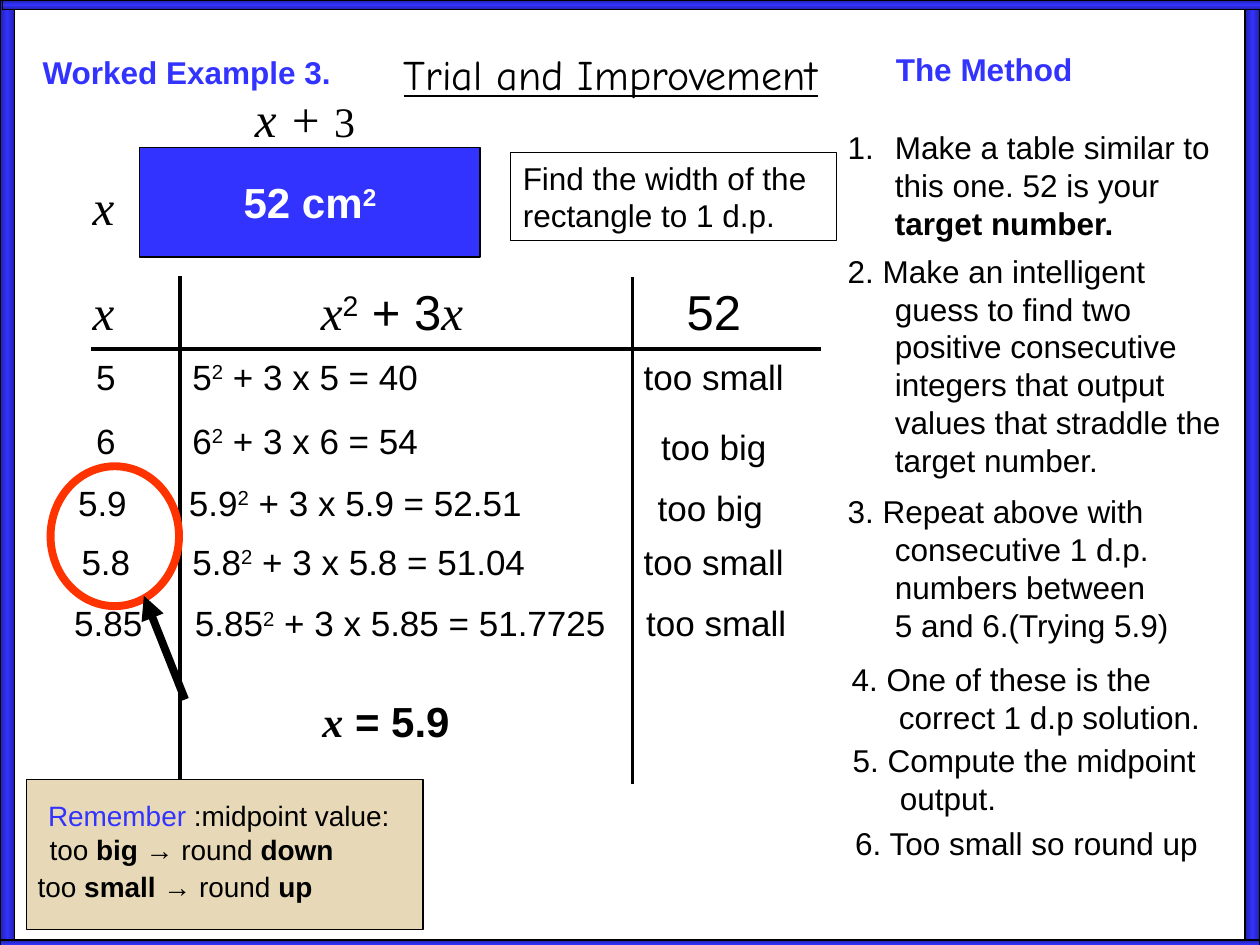
from copy import deepcopy
from pptx import Presentation
from pptx.dml.color import RGBColor
from pptx.enum import shapes, text
from pptx.oxml import ns, xmlchemy
from pptx.util import Cm, Pt

BLACK = RGBColor(0, 0, 0)
WHITE = RGBColor(255, 255, 255)
BLUE = RGBColor(0x33, 0x33, 0xFF)
DARK_BLUE = RGBColor(0x21, 0x21, 0xA8)
RED = RGBColor(0xFF, 0x33, 0x00)
SAND = RGBColor(0xE7, 0xD9, 0xB7)
CENTER, LEFT = text.PP_ALIGN.CENTER, text.PP_ALIGN.LEFT

# Content: runs are (text, style); b bold, v variable, s superscript, c blue, u underline
HEADINGS = [  # runs, left, top, width, height, size, alignment, font
    ([("Trial and Improvement", "u")], 3.78, 0.86, 17.07, 1.27, 24, CENTER, "Comic Neue"),
    ([("The Method", "bc")], 17.81, 0.89, 6.83, 1.02, 18, LEFT, "Arial"),
    ([("Worked Example 3.", "bc")], 0.61, 0.94, 6.83, 1.02, 18, LEFT, "Arial"),
]
TABLE_HEAD = [  # runs, left, width, alignment
    ([("x", "v")], 0.79, 2.59, CENTER),
    ([("x", "v"), ("2", "s"), (" + 3", ""), ("x", "v")], 6.22, 5, LEFT),
    ([("52", "")], 12.22, 4.34, CENTER),
]
TRIALS = [  # x, result, verdict, top, sideways shift, verdict drop
    ("5", "40", "too small", 7.04, 0, 0),
    ("6", "54", "too big", 8.33, 0, 0.13),
    ("5.9", "52.51", "too big", 9.58, -0.07, 0.1),
    ("5.8", "51.04", "too small", 10.77, 0, 0),
    ("5.85", "51.7725", "too small", 12.01, 0.05, 0),
]
METHOD = [  # runs, left, top, height
    ([("Make a table similar to this one. 52 is your ", ""), ("target number.", "b")],
     16.84, 2.46, 2.54),
    ([("2. Make an intelligent guess to find two positive consecutive integers "
       "that output values that straddle the target number.", "")], 16.84, 4.95, 4.83),
    ([("3. Repeat above with consecutive 1 d.p. numbers between", ""), ("\n", ""),
      ("5 and 6.(Trying 5.9)", "")], 16.84, 9.8, 3.3),
    ([("4. One of these is the correct 1 d.p solution.", "")], 16.92, 13.18, 1.78),
    ([("5. Compute the midpoint output.", "")], 16.94, 14.81, 1.78),
    ([("6. Too small so round up", "")], 16.99, 16.48, 1.02),
]
REMINDER = [  # runs, indent
    ([("Remember", "c"), (" :midpoint value:", "")], 0.24),
    ([("too ", ""), ("big", "b"), (" → round ", ""), ("down", "b")], 0.27),
    ([("too ", ""), ("small", "b"), (" → round ", ""), ("up", "b")], 0.03),
]
GRID_LINES = [(3.63, 5.56, 3.63, 15.77), (12.75, 5.59, 12.75, 15.8), (1.83, 7.04, 16.56, 7.04)]
BORDERS = [  # left, top, width, height, gradient angle
    (0, 0, 0.3, 19.05, 180), (25.1, 0, 0.3, 19.05, 180),
    (0.05, 0, 25.4, 0.2, 90), (0, 18.95, 25.4, 0.2, 90),
]

prs = Presentation()
prs.slide_width, prs.slide_height = Cm(25.4), Cm(19.05)
s = prs.slides.add_slide(prs.slide_layouts[6])


def write(p, runs, size, align=LEFT, color=BLACK, font="Arial"):
    p.alignment = align
    for words, style in runs:
        if words == "\n":
            p.add_line_break()
            continue
        r = p.add_run()
        r.text = words
        f = r.font
        f.size = Pt(size)
        f.name = "Times New Roman" if "v" in style else font
        f.color.rgb = BLUE if "c" in style else color
        f.bold, f.italic, f.underline = "b" in style, "v" in style, "u" in style
        if "s" in style:
            f._element.set("baseline", "30000")


def label(runs, x, y, w, h, size, align=LEFT, font="Arial"):
    tf = s.shapes.add_textbox(Cm(x), Cm(y), Cm(w), Cm(h)).text_frame
    tf.word_wrap = True
    write(tf.paragraphs[0], runs, size, align, font=font)
    return tf.paragraphs[0]


def outline(kind, x, y, w, h, fill=None, line=BLACK, width=0.75):
    sp = s.shapes.add_shape(kind, Cm(x), Cm(y), Cm(w), Cm(h))
    sp.shadow.inherit = False
    if fill is None:
        sp.fill.background()
    else:
        sp.fill.solid()
        sp.fill.fore_color.rgb = fill
    sp.line.color.rgb, sp.line.width = line, Pt(width)
    sp.text_frame.word_wrap = True
    return sp


def rule(x1, y1, x2, y2, width):
    c = s.shapes.add_connector(shapes.MSO_CONNECTOR.STRAIGHT, Cm(x1), Cm(y1), Cm(x2), Cm(y2))
    c.line.color.rgb, c.line.width = BLACK, Pt(width)
    c._element.spPr.append(xmlchemy.OxmlElement("a:effectLst"))
    return c


RECT = shapes.MSO_SHAPE.RECTANGLE

# Slide border
for x, y, w, h, angle in BORDERS:
    sp = outline(RECT, x, y, w, h)
    sp.fill.gradient()
    sp.fill.gradient_angle = angle
    first = sp._element.spPr.find(".//" + ns.qn("a:gs"))
    first.addnext(deepcopy(first))
    for stop, (pos, color) in zip(sp.fill.gradient_stops,
                                  [(0, DARK_BLUE), (0.5, BLUE), (1, DARK_BLUE)]):
        stop.position, stop.color.rgb = pos, color

# Headings
for heading in HEADINGS:
    label(*heading)

# Rectangle problem
sp = outline(RECT, 2.82, 2.97, 6.86, 2.21, BLUE)
write(sp.text_frame.paragraphs[0], [("52 cm", "b"), ("2", "bs")], 24, CENTER, WHITE)
label([("x", "v")], 0.79, 3.43, 2.59, 1.44, 28, CENTER)
p = label([("x + ", "v"), ("3", "v")], 4.35, 1.65, 3.6, 1.44, 28, CENTER)
p.runs[1].font.size, p.runs[1].font.italic = Pt(24), False
sp = outline(RECT, 10.29, 3.07, 6.58, 1.78)
write(sp.text_frame.paragraphs[0], [("Find the width of the rectangle to 1 d.p.", "")], 18)

# Trial table
for ends in GRID_LINES:
    rule(*ends, 2.25)
for runs, x, w, align in TABLE_HEAD:
    label(runs, x, 5.56, w, 1.44, 28, align)
for value, result, verdict, y, dx, dy in TRIALS:
    formula = [(value, ""), ("2", "s"), (f" + 3 x {value} = {result}", "")]
    label([(value, "")], 0.84 + dx, y, 2.59, 1.12, 20, CENTER)
    label(formula, 3.63 + dx, y, 8.97, 1.12, 20)
    label([(verdict, "")], 12.22 + dx, y + dy, 4.34, 1.12, 20, CENTER)
label([("x", "vb"), (" = 5.9", "b")], 6.25, 13.89, 3.61, 1.27, 24)

# Ring around the two candidates, with its arrow
outline(shapes.MSO_SHAPE.OVAL, 1.02, 9.4, 2.59, 2.82, line=RED, width=4.5)
arrow = rule(3.73, 14.1, 2.9, 12.01, 4.5)
head = xmlchemy.OxmlElement("a:tailEnd")
head.set("type", "triangle")
arrow.line._get_or_add_ln().append(head)

# Method steps, the first one numbered automatically
for i, (runs, x, y, h) in enumerate(METHOD):
    pPr = label(runs, x, y, 8.05, h, 18)._p.get_or_add_pPr()
    pPr.set("marL", str(Cm(0.95)))
    pPr.set("indent", str(-Cm(0.95)))
    if i == 0:
        number = xmlchemy.OxmlElement("a:buAutoNum")
        number.set("type", "arabicPeriod")
        pPr.append(number)

# Reminder
sp = outline(RECT, 0.53, 15.72, 8, 3.02, SAND)
tf = sp.text_frame
tf.vertical_anchor = text.MSO_ANCHOR.TOP
tf.margin_left, tf.margin_top = Cm(0.2), Cm(0.38)
for i, (runs, indent) in enumerate(REMINDER):
    p = tf.add_paragraph() if i else tf.paragraphs[0]
    write(p, runs, 16)
    p._p.get_or_add_pPr().set("marL", str(Cm(indent)))
p.space_before = Pt(2)

prs.save("out.pptx")
